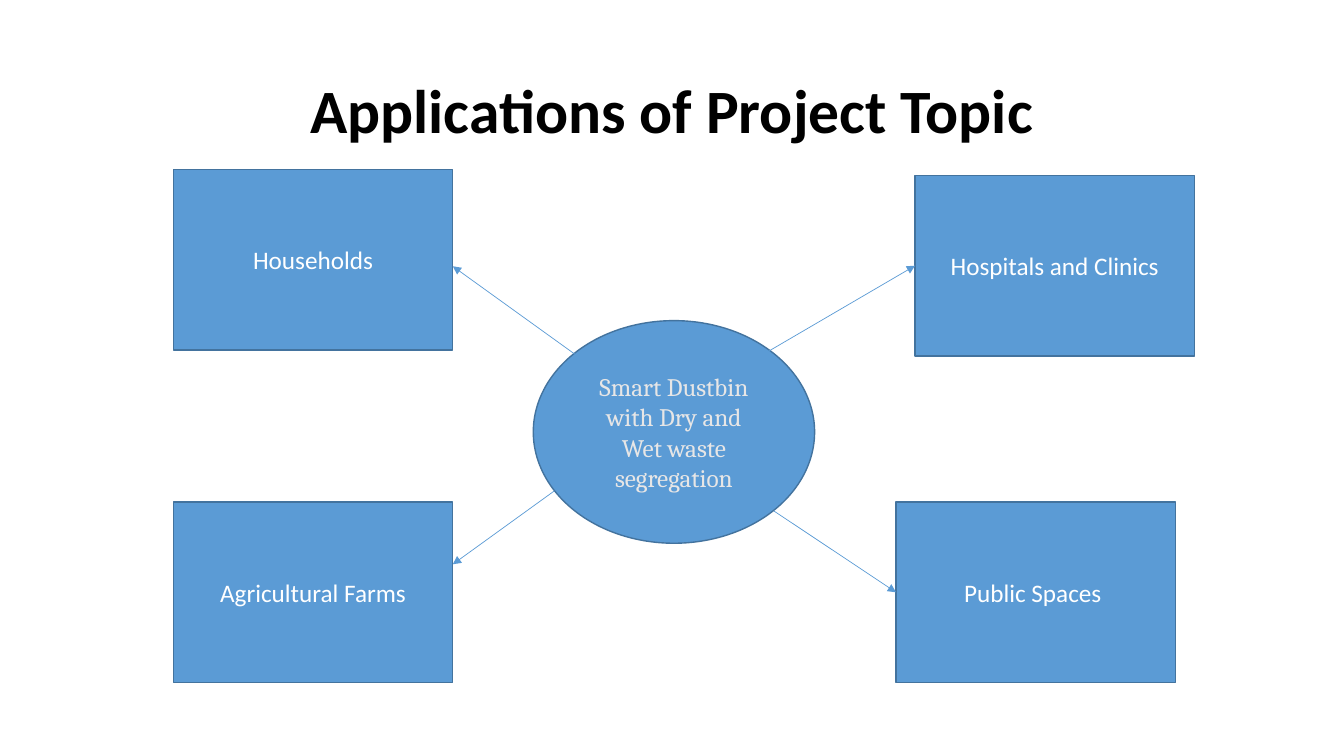
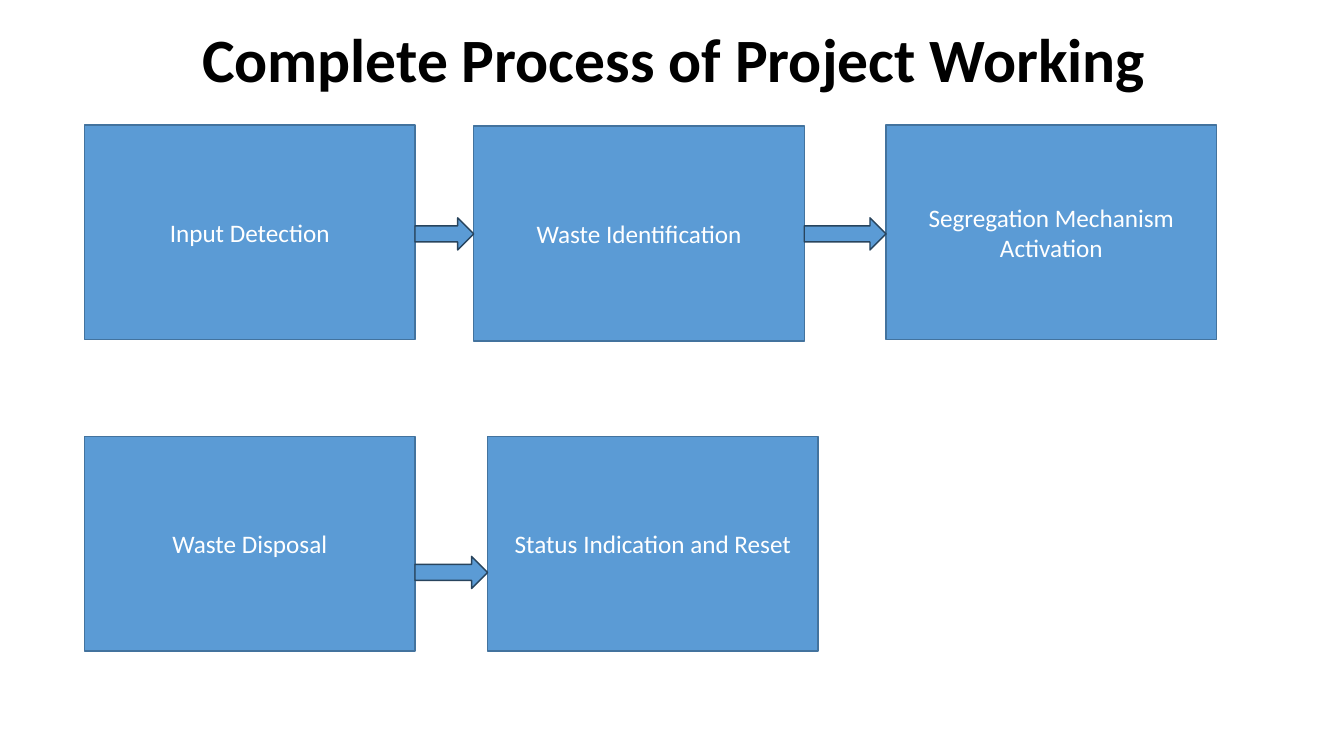
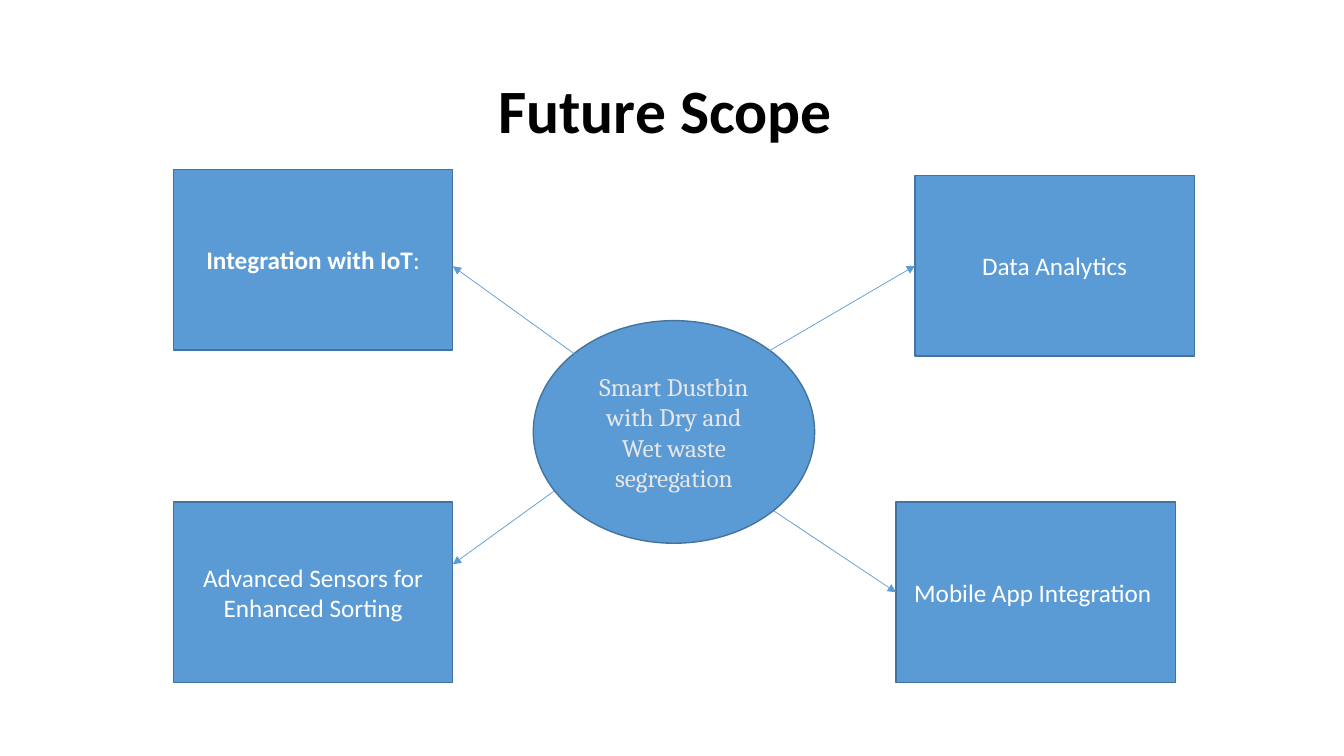
from lxml import etree
from pptx import Presentation
from pptx.dml.color import RGBColor
from pptx.enum.shapes import MSO_CONNECTOR, MSO_SHAPE
from pptx.enum.text import MSO_ANCHOR, PP_ALIGN
from pptx.oxml.ns import qn
from pptx.util import Cm, Pt

RECTANGLE, OVAL = MSO_SHAPE.RECTANGLE, MSO_SHAPE.OVAL
RIGHT_ARROW = MSO_SHAPE.RIGHT_ARROW
STRAIGHT = MSO_CONNECTOR.STRAIGHT
MIDDLE, CENTER = MSO_ANCHOR.MIDDLE, PP_ALIGN.CENTER
LEFT_SIDE = 1

BLUE = RGBColor(0x5B, 0x9B, 0xD5)
EDGE = RGBColor(0x43, 0x73, 0x9E)
DARK_EDGE = RGBColor(0x28, 0x44, 0x5D)
BLACK = RGBColor(0, 0, 0)
WHITE = RGBColor(0xFF, 0xFF, 0xFF)
PALE = RGBColor(0xE7, 0xE6, 0xE6)

SANS, SERIF = "Calibri", "Cambria"

# Boxes in centimetres: left, top, width, height
HUB_TITLE = (2.34, 1.02, 29.21, 3.68)
PROCESS_TITLE = (2.39, 0, 29.21, 3.15)
HUB_AREA = (4.37, 4.27, 25.73, 12.93)
PROCESS_AREA = (2.13, 3.15, 28.53, 13.26)

# Hub layout, relative to its area
TOPIC = "Smart Dustbin with Dry and Wet waste segregation"
TOPIC_BOX = (9.07, 3.81, 7.09, 5.61)
SPOKE_SIZE = (7.04, 4.55)
# Spoke position, line start, line end (None: middle of the left side)
SPOKES = [
    ((0, 0), (10.11, 4.65), (7.04, 2.44)),
    ((18.69, 0.15), (14.88, 4.65), None),
    ((0, 8.38), (9.6, 8.1), (7.04, 9.95)),
    ((18.21, 8.38), (15.14, 8.61), None),
]

# Process layout: row top, arrow drop, then step offsets and names
STEP_SIZE = (8.33, 5.41)
ARROW_HEIGHT = 0.81
PROCESS_ROWS = [
    (0, 2.34, [(0, 0, "Input Detection"),
               (9.81, 0.03, "Waste Identification"),
               (20.2, 0, "Segregation Mechanism Activation")]),
    (7.85, 3.02, [(0, 0, "Waste Disposal"),
                  (10.16, 0, "Status Indication and Reset")]),
]


def write(frame, text, size, color, font=SANS, bold=False):
    frame.word_wrap = True
    frame.vertical_anchor = MIDDLE
    frame.text = text
    paragraph = frame.paragraphs[0]
    paragraph.alignment = CENTER
    style = paragraph.runs[0].font
    style.name, style.size, style.bold = font, Pt(size), bold
    style.color.rgb = color
    return paragraph


def add_title(slide, box, text):
    title = slide.shapes.add_textbox(*map(Cm, box))
    write(title.text_frame, text, 44, BLACK, bold=True).line_spacing = 0.9


def add_block(slide, kind, box, edge=EDGE):
    block = slide.shapes.add_shape(kind, *map(Cm, box))
    block.shadow.inherit = False
    block.fill.solid()
    block.fill.fore_color.rgb = BLUE
    block.line.color.rgb = edge
    block.line.width = Pt(1)
    return block


def add_arrow(slide, start, end):
    arrow = slide.shapes.add_connector(STRAIGHT, *map(Cm, start + end))
    arrow.line.color.rgb = BLUE
    arrow.line.width = Pt(0.5)
    etree.SubElement(arrow.line._get_or_add_ln(), qn("a:tailEnd"), type="triangle")
    etree.SubElement(arrow._element.spPr, qn("a:effectLst"))
    return arrow


def add_hub(slide, area, labels):
    """Place the topic with a box at each corner; a label is (lead, rest)."""
    left, top = area[:2]

    def place(point):
        return left + point[0], top + point[1]

    # Central topic
    topic = add_block(slide, OVAL, place(TOPIC_BOX) + TOPIC_BOX[2:])
    write(topic.text_frame, TOPIC, 18, PALE, font=SERIF)

    # Corner boxes and their arrows
    for (corner, start, end), (lead, rest) in zip(SPOKES, labels):
        spoke = add_block(slide, RECTANGLE, place(corner) + SPOKE_SIZE)
        label = write(spoke.text_frame, lead, 18, WHITE, bold=bool(rest))
        if rest:
            tail = label.add_run()
            tail.text = rest
            tail.font.name, tail.font.size, tail.font.bold = SANS, Pt(18), False
            tail.font.color.rgb = WHITE
        arrow = add_arrow(slide, place(start), place(end or corner))
        if end is None:
            arrow.end_connect(spoke, LEFT_SIDE)


def add_process(slide, area):
    left, top = area[:2]
    width, height = STEP_SIZE
    for row_top, arrow_drop, steps in PROCESS_ROWS:
        # Steps
        for x, y, name in steps:
            step = add_block(slide, RECTANGLE,
                             (left + x, top + row_top + y, width, height))
            write(step.text_frame, name, 18, WHITE)
        # Arrows fill the gaps between neighbours
        for (x, _, _), (next_x, _, _) in zip(steps, steps[1:]):
            gap = next_x - x - width
            add_block(slide, RIGHT_ARROW,
                      (left + x + width, top + row_top + arrow_drop, gap, ARROW_HEIGHT),
                      DARK_EDGE)


def add_hub_slide(deck, blank, title, labels):
    slide = deck.slides.add_slide(blank)
    add_title(slide, HUB_TITLE, title)
    add_hub(slide, HUB_AREA, labels)


def add_process_slide(deck, blank, title):
    slide = deck.slides.add_slide(blank)
    add_title(slide, PROCESS_TITLE, title)
    add_process(slide, PROCESS_AREA)


def main():
    deck = Presentation()
    deck.slide_width, deck.slide_height = Cm(33.87), Cm(19.05)
    blank = deck.slide_layouts[6]

    add_hub_slide(deck, blank, "Applications of Project Topic", [
        ("Households", ""), ("Hospitals and Clinics", ""),
        ("Agricultural Farms", ""), ("Public Spaces ", "")])
    add_process_slide(deck, blank, "Complete Process of Project Working")
    add_hub_slide(deck, blank, "Future Scope ", [
        ("Integration with IoT", ":"), ("Data Analytics", ""),
        ("Advanced Sensors for Enhanced Sorting", ""),
        ("Mobile App Integration ", "")])

    deck.save("out.pptx")


if __name__ == "__main__":
    main()
